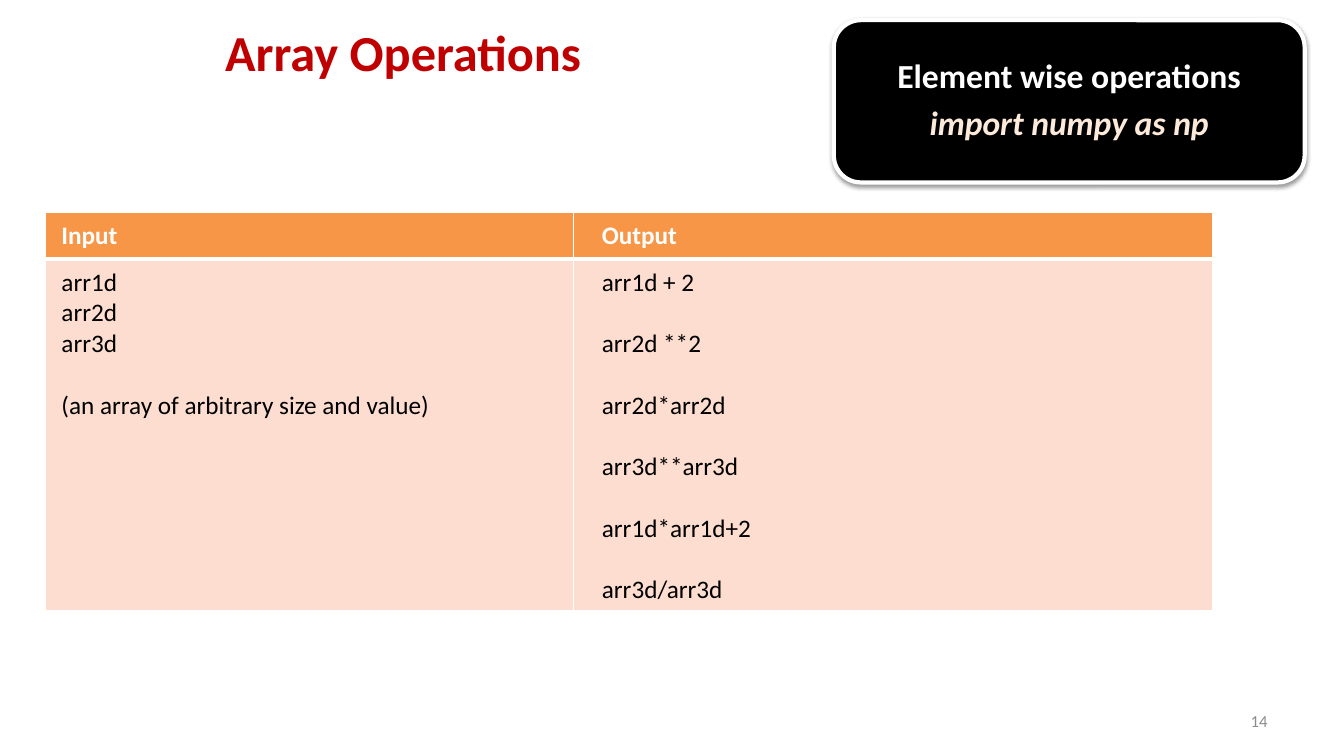
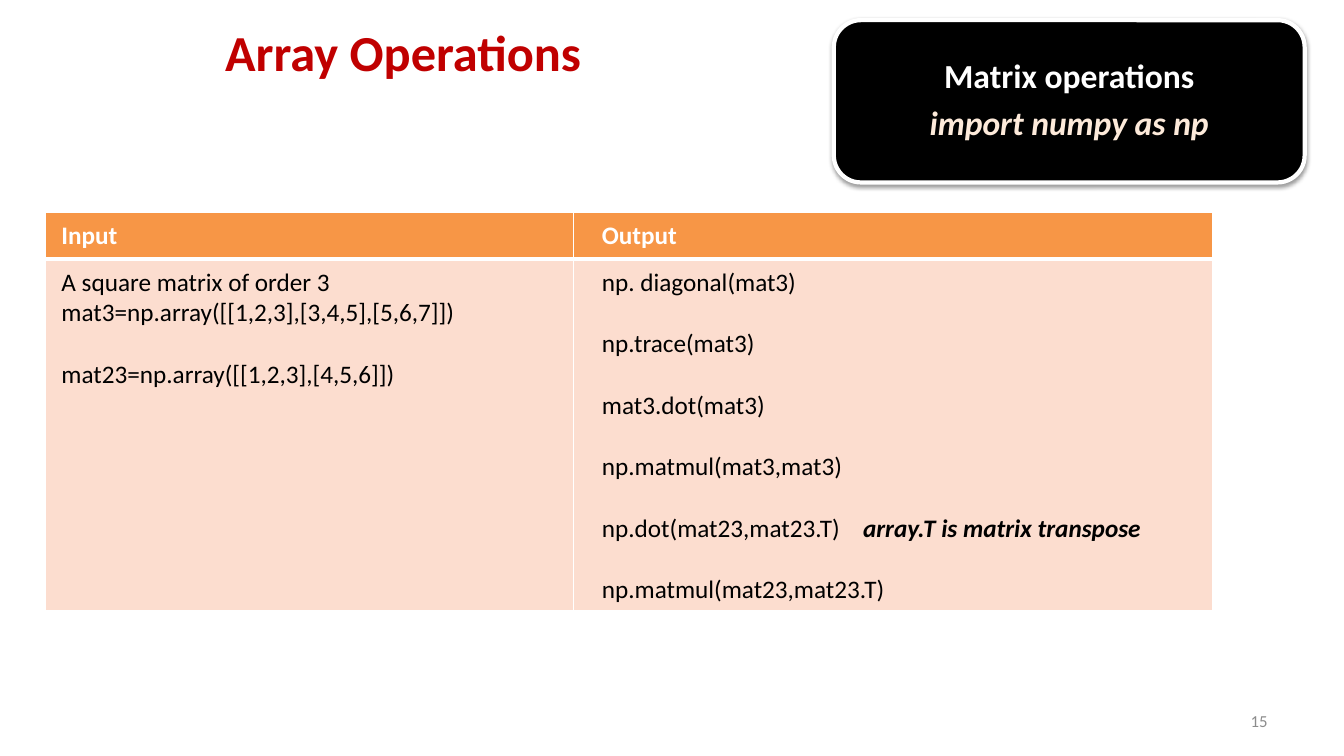
from lxml import etree
from pptx import Presentation
from pptx.dml.color import RGBColor
from pptx.enum.shapes import MSO_SHAPE
from pptx.enum.text import MSO_ANCHOR, PP_ALIGN
from pptx.oxml.ns import qn
from pptx.util import Pt

ROUNDED = MSO_SHAPE.ROUNDED_RECTANGLE
MIDDLE, TOP = MSO_ANCHOR.MIDDLE, MSO_ANCHOR.TOP
CENTER, RIGHT, LEFT = PP_ALIGN.CENTER, PP_ALIGN.RIGHT, PP_ALIGN.LEFT

# Content: a paragraph is a text, or a (code, remark) pair; input groups are set apart
TITLE = "Array Operations"
IMPORT_LINE = "import numpy as np"
HEADINGS = ("Input", "Output")
SLIDES = [
    {
        "number": 14,
        "topic": "Element wise operations",
        "inputs": [
            ["arr1d", "arr2d", "arr3d"],
            ["(an array of arbitrary size and value)"],
        ],
        "outputs": ["arr1d + 2", "arr2d **2", "arr2d*arr2d",
                    "arr3d**arr3d", "arr1d*arr1d+2", "arr3d/arr3d"],
    },
    {
        "number": 15,
        "topic": "Matrix operations",
        "inputs": [
            ["A square matrix of order 3",
             "mat3=np.array([[1,2,3],[3,4,5],[5,6,7]])"],
            ["mat23=np.array([[1,2,3],[4,5,6]])"],
        ],
        "outputs": ["np. diagonal(mat3)", "np.trace(mat3)", "mat3.dot(mat3)",
                    "np.matmul(mat3,mat3)",
                    ("np.dot(mat23,mat23.T)", "array.T is matrix transpose"),
                    "np.matmul(mat23,mat23.T)"],
    },
]

# Shared style; lengths in px, 100 to the inch
PX = 9144
FONT = "Calibri"
COLORS = {
    "title": "C00000", "number": "8C8C8C", "black": "000000", "white": "FFFFFF",
    "import": "FDEADA", "header": "F79646", "body": "FCDDCF",
}
SLIDE_SIZE = (1333, 750)
TITLE_BOX = (6, 10, 788, 81)
NUMBER_BOX = (956, 695, 311, 40)
TOPIC_BOX = (827, 20, 467, 161)
TABLE_AT = (45, 211)
COLUMNS = (524, 634)
ROWS = (46, 347)
CELL_MARGIN = 8
LEFT_MARGINS = (16, 28)
REMARK_TAB = 259
GROUP_GAP = 22


def px(*lengths):
    return [length * PX for length in lengths]


def rgb(name):
    return RGBColor.from_string(COLORS[name])


def style(paragraph, size, color, bold=False, italic=False, align=LEFT):
    paragraph.alignment = align
    for run in paragraph.runs:
        font = run.font
        font.name, font.size, font.bold, font.italic = FONT, Pt(size), bold, italic
        font.color.rgb = rgb(color)


def add_solid(parent, color, alpha=None):
    """Append a colour element, with an optional opacity in percent."""
    value = etree.SubElement(parent, qn("a:srgbClr"), val=COLORS[color])
    if alpha:
        etree.SubElement(value, qn("a:alpha"), val=str(alpha * 1000))


def add_shadow(shape):
    shape.shadow.inherit = False
    effects = shape.element.spPr.find(qn("a:effectLst"))
    outer = etree.SubElement(effects, qn("a:outerShdw"), blurRad=str(Pt(3.1)),
                             dist=str(Pt(1.6)), dir="5400000", rotWithShape="0")
    add_solid(outer, "black", 38)


def add_borders(cell, widths):
    properties = cell._tc.get_or_add_tcPr()
    for side, width in widths.items():
        line = etree.SubElement(properties, qn("a:ln" + side), w=str(Pt(width)))
        add_solid(etree.SubElement(line, qn("a:solidFill")), "white")


def add_tab_stop(paragraph, position):
    stops = etree.SubElement(paragraph._p.get_or_add_pPr(), qn("a:tabLst"))
    etree.SubElement(stops, qn("a:tab"), pos=str(position * PX), algn="l")


def format_cell(cell, row, column):
    cell.margin_left = LEFT_MARGINS[column] * PX
    cell.margin_right = cell.margin_top = cell.margin_bottom = CELL_MARGIN * PX
    cell.vertical_anchor = TOP
    # The rule under the header is the heavy one
    add_borders(cell, {"L": 1, "R": 1, "T": 3 if row else 1, "B": 1 if row else 3})
    cell.fill.solid()
    cell.fill.fore_color.rgb = rgb("body" if row else "header")


def fill_cell(cell, groups):
    """Write groups of lines, with a one-line gap between groups."""
    frame = cell.text_frame
    lines = [(line, i > 0 and j == 0)
             for i, group in enumerate(groups) for j, line in enumerate(group)]
    for index, (line, starts_group) in enumerate(lines):
        paragraph = frame.add_paragraph() if index else frame.paragraphs[0]
        code, remark = line if isinstance(line, tuple) else (line, None)
        paragraph.text = code + "\t" if remark else code
        style(paragraph, 18, "black")
        if starts_group:
            paragraph.space_before = Pt(GROUP_GAP)
        if remark:
            add_tab_stop(paragraph, REMARK_TAB)
            note = paragraph.add_run()
            note.text = remark
            note.font.name, note.font.size = FONT, Pt(18)
            note.font.bold = note.font.italic = True
            note.font.color.rgb = rgb("black")


def add_title(slide):
    title = slide.shapes.title
    title.left, title.top, title.width, title.height = px(*TITLE_BOX)
    title.text_frame.text = TITLE
    title.text_frame.vertical_anchor = MIDDLE
    style(title.text_frame.paragraphs[0], 36, "title", bold=True, align=CENTER)


def add_number(slide, number):
    frame = slide.shapes.add_textbox(*px(*NUMBER_BOX)).text_frame
    frame.word_wrap = True
    frame.vertical_anchor = MIDDLE
    frame.text = str(number)
    style(frame.paragraphs[0], 12, "number", align=RIGHT)


def add_topic(slide, topic):
    badge = slide.shapes.add_shape(ROUNDED, *px(*TOPIC_BOX))
    badge.fill.solid()
    badge.fill.fore_color.rgb = rgb("black")
    badge.line.color.rgb = rgb("white")
    badge.line.width = Pt(3)
    add_shadow(badge)
    frame = badge.text_frame
    frame.word_wrap = True
    frame.vertical_anchor = MIDDLE
    frame.text = topic
    heading, code = frame.paragraphs[0], frame.add_paragraph()
    code.text = IMPORT_LINE
    style(heading, 24, "white", bold=True, align=CENTER)
    style(code, 24, "import", bold=True, italic=True, align=CENTER)
    heading.line_spacing = code.line_spacing = 0.9
    heading.space_after = Pt(8)


def add_operations(slide, inputs, outputs):
    table = slide.shapes.add_table(
        len(ROWS), len(COLUMNS), *px(*TABLE_AT, sum(COLUMNS), sum(ROWS))).table
    for row, height in zip(table.rows, ROWS):
        row.height = height * PX
    bodies = (inputs, [[line] for line in outputs])
    for column, (width, heading, groups) in enumerate(zip(COLUMNS, HEADINGS, bodies)):
        table.columns[column].width = width * PX
        header, body = table.cell(0, column), table.cell(1, column)
        format_cell(header, 0, column)
        format_cell(body, 1, column)
        header.text_frame.text = heading
        style(header.text_frame.paragraphs[0], 18, "white", bold=True)
        fill_cell(body, groups)


def main():
    prs = Presentation()
    prs.slide_width, prs.slide_height = px(*SLIDE_SIZE)
    title_only = prs.slide_layouts[5]
    for content in SLIDES:
        slide = prs.slides.add_slide(title_only)
        add_title(slide)
        add_number(slide, content["number"])
        add_topic(slide, content["topic"])
        add_operations(slide, content["inputs"], content["outputs"])
    prs.save("out.pptx")


if __name__ == "__main__":
    main()
